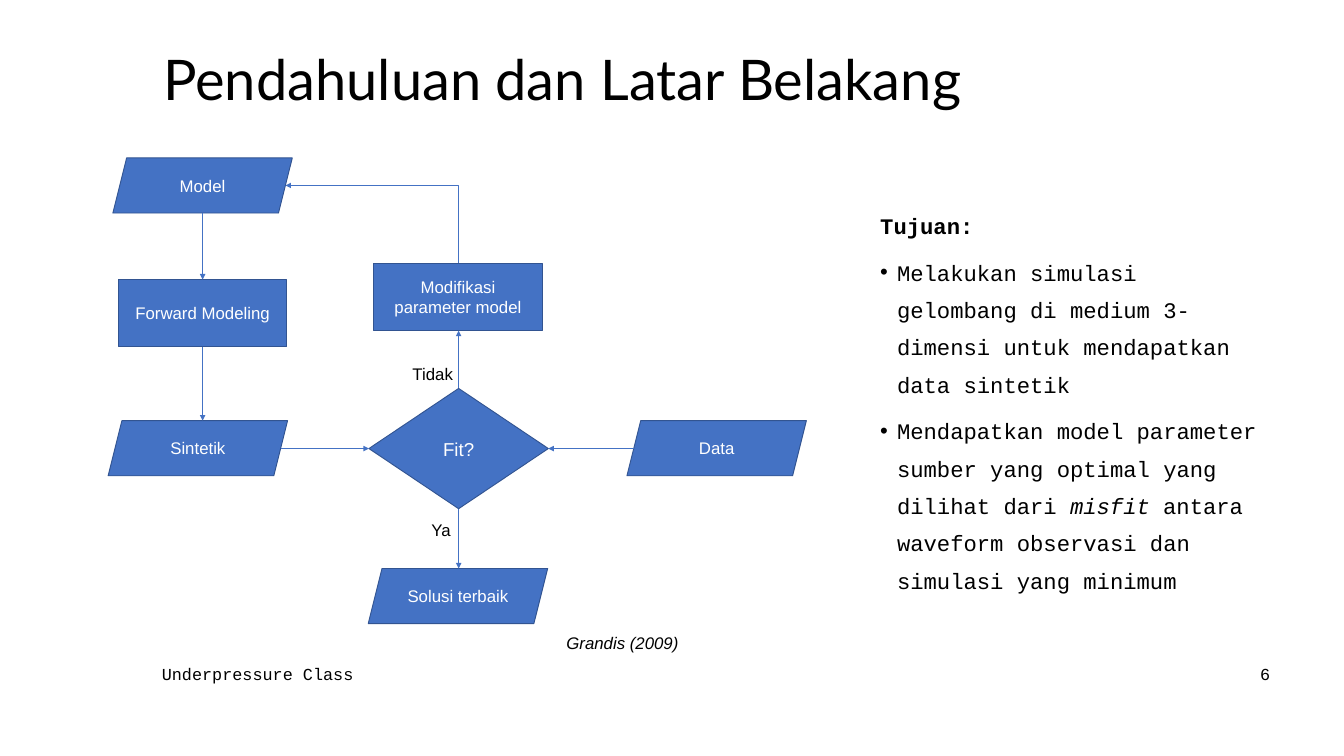
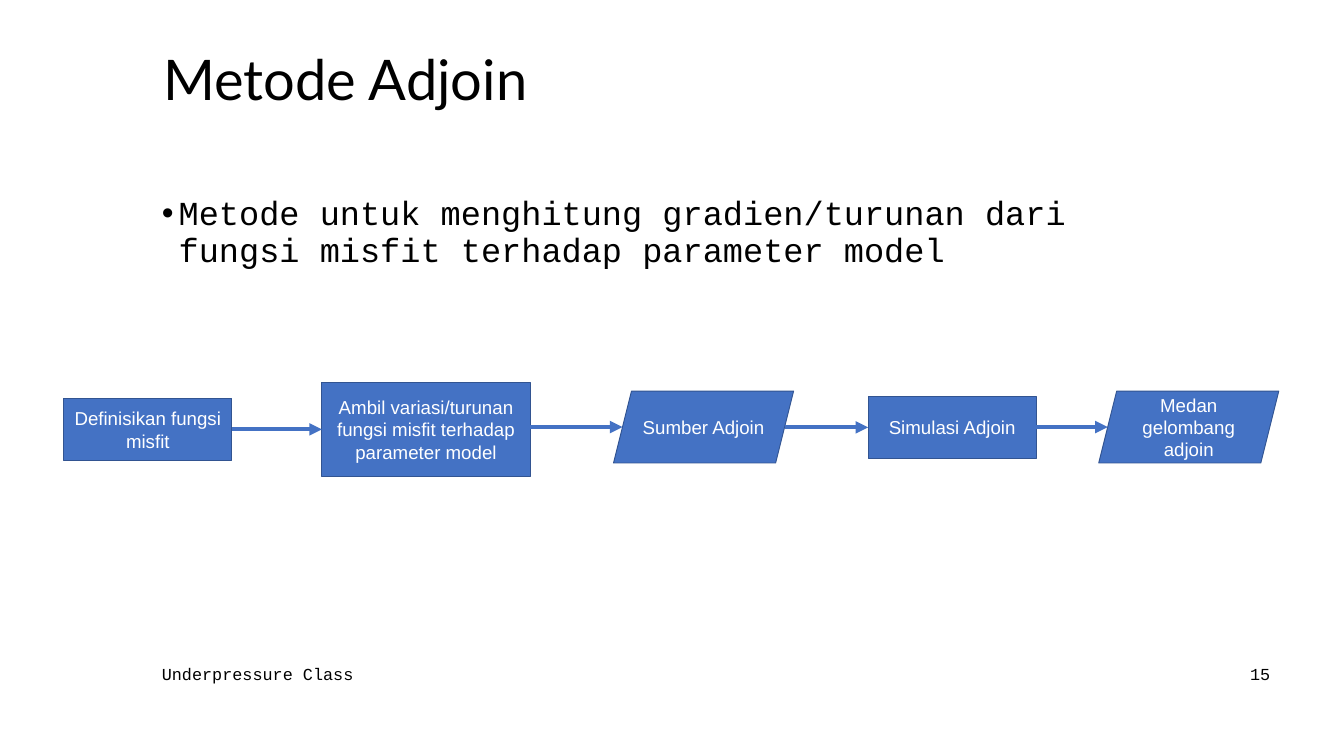
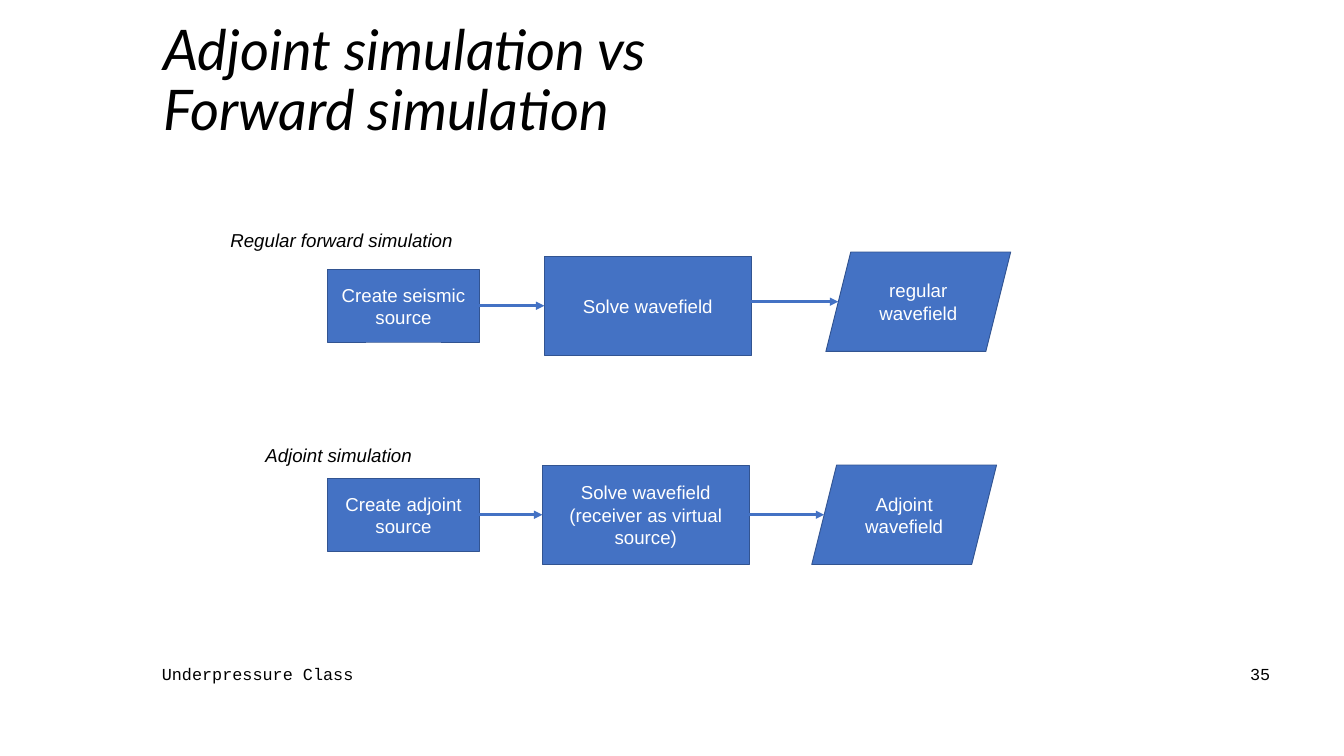
from itertools import pairwise

from lxml.etree import SubElement
from pptx import Presentation
from pptx.dml.color import RGBColor
from pptx.enum.shapes import MSO_CONNECTOR, MSO_SHAPE
from pptx.enum.text import MSO_ANCHOR, MSO_AUTO_SIZE, PP_ALIGN
from pptx.oxml.ns import qn
from pptx.util import Inches, Pt

BLUE = RGBColor(0x44, 0x72, 0xC4)
EDGE = RGBColor(0x32, 0x54, 0x91)
BLACK = RGBColor(0x00, 0x00, 0x00)
WHITE = RGBColor(0xFF, 0xFF, 0xFF)

COLS, ROWS = 20, 11.25  # square grid cells
RECT, SLANTED, DECISION = (
    MSO_SHAPE.RECTANGLE, MSO_SHAPE.PARALLELOGRAM, MSO_SHAPE.FLOWCHART_DECISION)

TITLE = {"name": "Lato", "size": Pt(60)}
FOOTER = {"name": "Courier New", "size": Pt(18)}
GOALS = {"name": "Courier New", "size": Pt(23.8)}
BODY = {"name": "Courier New", "size": Pt(36)}
SMALL = {"name": "Arial", "size": Pt(18)}
LABEL = {"name": "Arial", "size": Pt(20)}
ITALIC = {"italic": True}
BOLD = {"bold": True}


class Deck:
    """Holds the style and the slide being filled."""

    def __init__(self):
        self.prs = Presentation()
        self.prs.slide_width, self.prs.slide_height = Inches(COLS), Inches(ROWS)
        self.cell = self.prs.slide_width / COLS
        self.s = None

    def grid(self, *cells):
        return [round(c * self.cell) for c in cells]

    def slide(self, title, number, style=TITLE):
        self.s = self.prs.slides.add_slide(self.prs.slide_layouts[6])
        middle = {"vertical_anchor": MSO_ANCHOR.MIDDLE}
        self.text((2.33, 0.6, 13.67, 1.25), title, style, {"line_spacing": 0.9}, middle)
        self.text((2.31, 9.83, 3.17, 0.4), "Underpressure Class", FOOTER, frame=middle)
        self.text((14.5, 9.83, 4.5, 0.4), str(number), FOOTER,
                  {"alignment": PP_ALIGN.RIGHT}, middle)

    def add_runs(self, p, text, font, color=BLACK, layout=None):
        """Text is a string or a list of (string, font changes) parts."""
        for key, value in (layout or {}).items():
            setattr(p, key, value)
        parts = [(text, {})] if isinstance(text, str) else text
        for part, changes in parts:
            for i, line in enumerate(part.split("\n")):
                if i:
                    p.add_line_break()
                r = p.add_run()
                r.text = line
                for key, value in {**font, **changes}.items():
                    setattr(r.font, key, value)
                r.font.color.rgb = color

    def text(self, box, text, font, layout=None, frame=None):
        tf = self.s.shapes.add_textbox(*self.grid(*box)).text_frame
        for key, value in {"word_wrap": True, **(frame or {})}.items():
            setattr(tf, key, value)
        self.add_runs(tf.paragraphs[0], text, font, layout=layout)
        return tf

    def label(self, box, text, font):
        self.text(box, text, font, frame={"auto_size": MSO_AUTO_SIZE.SHAPE_TO_FIT_TEXT})

    def bullet(self, p):
        pPr = p._p.get_or_add_pPr()
        pPr.set("marL", str(Inches(0.25)))
        pPr.set("indent", str(-Inches(0.25)))
        SubElement(pPr, qn("a:buFont")).set("typeface", "Arial")
        SubElement(pPr, qn("a:buChar")).set("char", "•")

    def node(self, kind, box, text, font=LABEL):
        sp = self.s.shapes.add_shape(kind, *self.grid(*box))
        sp.shadow.inherit = False
        sp.fill.solid()
        sp.fill.fore_color.rgb = BLUE
        sp.line.color.rgb = EDGE
        sp.line.width = Pt(1)
        tf = sp.text_frame
        tf.word_wrap, tf.vertical_anchor = True, MSO_ANCHOR.MIDDLE
        self.add_runs(tf.paragraphs[0], text, font, WHITE, {"alignment": PP_ALIGN.CENTER})
        return sp

    def port(self, sp, side):
        """Middle of a side; slanted sides lie an eighth of the height inside."""
        inset = sp.height // 8 if sp.auto_shape_type == SLANTED else 0
        x, y = sp.left + sp.width // 2, sp.top + sp.height // 2
        return {"left": (sp.left + inset, y), "right": (sp.left + sp.width - inset, y),
                "top": (x, sp.top), "bottom": (x, sp.top + sp.height)}[side]

    def connector(self, kind, start, end, weight):
        cxn = self.s.shapes.add_connector(kind, *start, *end)
        cxn.line.color.rgb = BLUE
        cxn.line.width = Pt(weight)
        spPr = cxn._element.spPr
        SubElement(spPr.find(qn("a:ln")), qn("a:tailEnd")).set("type", "triangle")
        SubElement(spPr, qn("a:effectLst"))
        return cxn

    def arrow(self, a, side_a, b, side_b, weight=0.5):
        """Straight arrow, kept level or upright."""
        (x1, y1), (x2, y2) = self.port(a, side_a), self.port(b, side_b)
        if side_a in ("left", "right"):
            y1 = y2
        else:
            x2 = x1
        self.connector(MSO_CONNECTOR.STRAIGHT, (x1, y1), (x2, y2), weight)

    def corner_arrow(self, a, b, weight=0.5):
        """Up from the top of a, then left to the right side of b."""
        (x1, y1), (x2, y2) = self.port(a, "top"), self.port(b, "right")
        across, up = x1 - x2, y1 - y2
        left, top = (x1 + x2 - up) // 2, (y1 + y2 - across) // 2
        cxn = self.connector(MSO_CONNECTOR.ELBOW, (left, top),
                             (left + up, top + across), weight)
        spPr = cxn._element.spPr
        spPr.find(qn("a:prstGeom")).set("prst", "bentConnector2")
        xfrm = spPr.find(qn("a:xfrm"))
        xfrm.set("rot", str(270 * 60000))
        xfrm.set("flipV", "1")

    def chain(self, steps, weight):
        nodes = [self.node(*step) for step in steps]
        for a, b in pairwise(nodes):
            self.arrow(a, "right", b, "left", weight)


def inversion_slide(deck):
    deck.slide("Pendahuluan dan Latar Belakang", 6)

    # Flowchart nodes
    slant, block = (2.67, 0.82), (2.51, 1)
    forward = deck.node(RECT, (1.76, 4.16, *block), "Forward Modeling", SMALL)
    synthetic = deck.node(SLANTED, (1.61, 6.26, *slant), "Sintetik", SMALL)
    model = deck.node(SLANTED, (1.68, 2.35, *slant), "Model", SMALL)
    data = deck.node(SLANTED, (9.33, 6.26, *slant), "Data", SMALL)
    best = deck.node(SLANTED, (5.48, 8.46, *slant), "Solusi terbaik", SMALL)
    fit = deck.node(DECISION, (5.49, 5.78, 2.67, 1.79), "Fit?")
    modify = deck.node(RECT, (5.56, 3.92, *block), "Modifikasi parameter model", SMALL)

    # Flowchart arrows
    deck.arrow(model, "bottom", forward, "top")
    deck.arrow(forward, "bottom", synthetic, "top")
    deck.arrow(synthetic, "right", fit, "left")
    deck.arrow(data, "left", fit, "right")
    deck.arrow(fit, "bottom", best, "top")
    deck.arrow(fit, "top", modify, "bottom")
    deck.corner_arrow(modify, model)

    # Branch labels and source
    deck.label((6.32, 7.69, 0.58, 0.4), "Ya", SMALL)
    deck.label((6.04, 5.36, 1, 0.4), "Tidak", SMALL)
    deck.label((8.33, 9.36, 4.35, 0.4), "Grandis (2009)", SMALL | ITALIC)

    # Goals
    spacing = {"line_spacing": 1.4}
    tf = deck.text((13, 2.95, 5.95, 6.41), "Tujuan:", GOALS | BOLD, spacing)
    goals = [
        "Melakukan simulasi gelombang di medium 3-dimensi untuk mendapatkan data sintetik",
        [("Mendapatkan model parameter sumber yang optimal yang dilihat dari ", {}),
         ("misfit ", ITALIC),
         ("antara waveform observasi dan simulasi yang minimum", {})],
    ]
    for goal in goals:
        p = tf.add_paragraph()
        deck.bullet(p)
        deck.add_runs(p, goal, GOALS, layout=spacing | {"space_before": Pt(10)})


def adjoint_method_slide(deck):
    deck.slide("Metode Adjoin", 15)
    tf = deck.text(
        (2.31, 2.88, 15.58, 6.47),
        "Metode untuk menghitung gradien/turunan dari fungsi misfit terhadap parameter model",
        BODY, {"line_spacing": 0.9})
    deck.bullet(tf.paragraphs[0])

    # Steps of the method
    block, slant = (2.5, 0.92), (2.68, 1.07)
    deck.chain([
        (RECT, (0.95, 5.93, *block), "Definisikan fungsi misfit"),
        (RECT, (4.79, 5.69, 3.1, 1.4),
         "Ambil variasi/turunan fungsi misfit terhadap parameter model"),
        (SLANTED, (9.13, 5.82, *slant), "Sumber Adjoin"),
        (RECT, (12.92, 5.9, *block), "Simulasi Adjoin"),
        (SLANTED, (16.35, 5.82, *slant), "Medan gelombang adjoin"),
    ], 4.5)


def comparison_slide(deck):
    deck.slide("Adjoint simulation vs\nForward simulation", 35, TITLE | ITALIC)
    source, solver, field = (2.25, 1.08), (3.08, 1.48), (2.75, 1.48)

    # Forward simulation
    deck.label((3.33, 3.35, 3.6, 0.44), "Regular forward simulation", LABEL | ITALIC)
    deck.chain([
        (RECT, (4.88, 4.01, *source), "Create seismic source"),
        (RECT, (8.1, 3.81, *solver), "Solve wavefield"),
        (SLANTED, (12.29, 3.75, *field), "regular wavefield"),
    ], 3)

    # Adjoint simulation
    deck.label((3.85, 6.55, 3.08, 0.44), "Adjoint simulation", LABEL | ITALIC)
    deck.chain([
        (RECT, (4.88, 7.12, *source), "Create adjoint source"),
        (RECT, (8.07, 6.92, *solver), "Solve wavefield (receiver as virtual source)"),
        (SLANTED, (12.08, 6.92, *field), "Adjoint wavefield"),
    ], 3)


def main():
    deck = Deck()
    inversion_slide(deck)
    adjoint_method_slide(deck)
    comparison_slide(deck)
    deck.prs.save("out.pptx")


if __name__ == "__main__":
    main()
